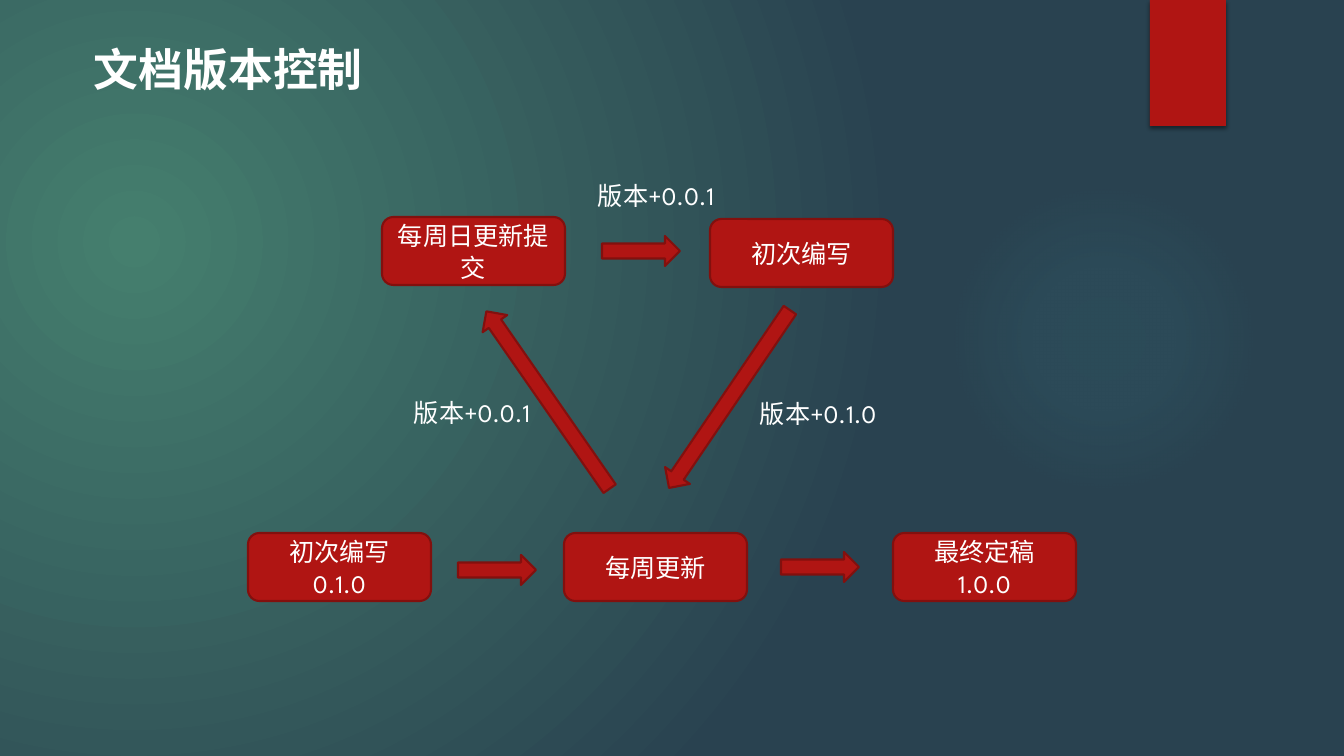
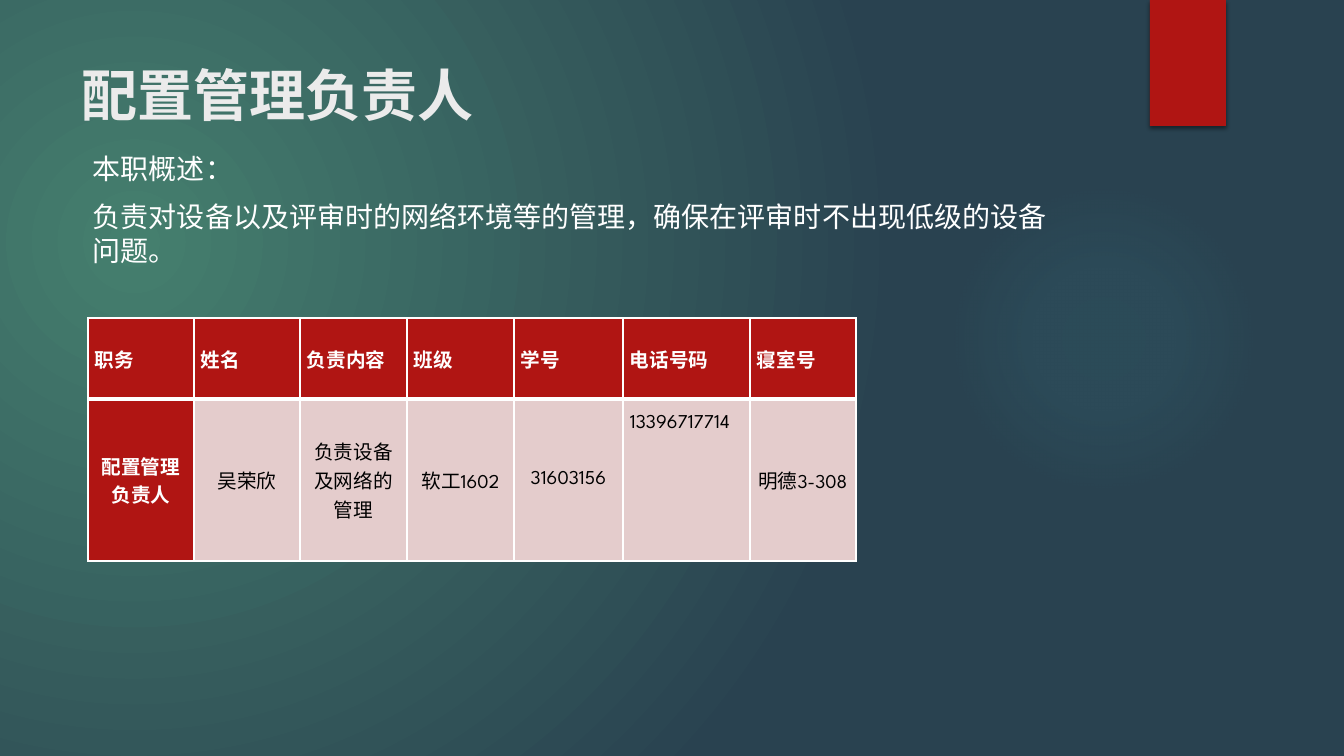
"""Build two slides: a version control flow and a configuration manager profile."""
from pptx import Presentation
from pptx.dml.color import RGBColor
from pptx.enum.shapes import MSO_SHAPE
from pptx.enum.text import MSO_ANCHOR, PP_ALIGN
from pptx.oxml import parse_xml
from pptx.oxml.ns import nsdecls
from pptx.util import Emu, Pt

RECTANGLE, ELLIPSE = MSO_SHAPE.RECTANGLE, MSO_SHAPE.OVAL
ROUNDED, ARROW = MSO_SHAPE.ROUNDED_RECTANGLE, MSO_SHAPE.RIGHT_ARROW
TOP, MIDDLE = MSO_ANCHOR.TOP, MSO_ANCHOR.MIDDLE
LEFT, CENTER, JUSTIFY = PP_ALIGN.LEFT, PP_ALIGN.CENTER, PP_ALIGN.JUSTIFY

COLORS = {
    "red": "B01513", "edge": "82100E", "white": "FFFFFF", "title": "EBEBEB",
    "black": "000000", "pink": "E4CCCC", "green": "457F6E", "navy": "294250",
    "glow": "50B9C1",
}
CJK_FONT = "Noto Sans CJK SC"
SLIDE_WIDTH, SLIDE_HEIGHT = 1344, 756
EMU_PER_PX = 12192000 / SLIDE_WIDTH
STEP_SIZE = (183, 68)
ARROW_SIZE = (78, 30)

LABEL = {
    "font": {"name": "League Spartan", "size": Pt(18), "bold": False},
    "color": "white",
    "paragraph": {"alignment": LEFT, "line_spacing": Pt(22.5)},
}
STEP = {**LABEL, "paragraph": {"alignment": CENTER, "line_spacing": Pt(22.5)}}
FLOW_TITLE = {
    "font": {"name": CJK_FONT, "size": Pt(32), "bold": True},
    "color": "white",
    "paragraph": {"alignment": LEFT, "line_spacing": Pt(41)},
}
ROLE_TITLE = {
    "font": {"name": "Arial", "size": Pt(40), "bold": True},
    "color": "title",
    "paragraph": {"alignment": LEFT, "line_spacing": Pt(52)},
}
SUMMARY = {
    "font": {"name": "Arial", "size": Pt(20), "bold": False},
    "color": "white",
    "paragraph": {"alignment": LEFT, "line_spacing": Pt(24), "space_before": Pt(10)},
}
HEADER_CELL = {
    "font": {"name": "League Spartan", "size": Pt(14), "bold": True},
    "color": "white",
    "paragraph": {"alignment": JUSTIFY},
}
ROLE_CELL = {**HEADER_CELL, "paragraph": {"alignment": CENTER}}
VALUE_CELL = {
    "font": {**HEADER_CELL["font"], "bold": False},
    "color": "black",
    "paragraph": {"alignment": CENTER},
}


def px(length):
    """Turn a length in px into EMU."""
    return Emu(round(length * EMU_PER_PX))


def rgb(name):
    """Look up a palette colour."""
    return RGBColor.from_string(COLORS[name])


def set_all(target, values):
    """Set attributes of an object from a dict."""
    for name, value in values.items():
        setattr(target, name, value)


def write_text(frame, lines, style):
    """Write one styled paragraph for each line."""
    for index, line in enumerate(lines):
        para = frame.paragraphs[0] if index == 0 else frame.add_paragraph()
        set_all(para, style["paragraph"])
        span = para.add_run()
        span.text = line
        set_all(span.font, style["font"])
        span.font.color.rgb = rgb(style["color"])
        properties = span.font._element
        properties.append(
            parse_xml(f'<a:ea {nsdecls("a")} typeface="{CJK_FONT}"/>'))


def paint_radial(fill, parent, stops, focus):
    """Fill a properties element with a circular gradient."""
    fill.gradient()
    marks = "".join(
        f'<a:gs pos="{position * 1000}"><a:srgbClr val="{COLORS[color]}">'
        f'<a:alpha val="{alpha * 1000}"/></a:srgbClr></a:gs>'
        for position, color, alpha in stops)
    edges = " ".join(
        f'{side}="{value * 1000}"' for side, value in zip("ltrb", focus))
    gradient = parse_xml(
        f'<a:gradFill {nsdecls("a")} rotWithShape="1"><a:gsLst>{marks}</a:gsLst>'
        f'<a:path path="circle"><a:fillToRect {edges}/></a:path></a:gradFill>')
    current = parent.xpath("./a:gradFill")[0]
    parent.replace(current, gradient)


def add_shape(page, kind, place, fill="red", line=None, turn=0):
    """Add a flat preset shape."""
    shape = page.shapes.add_shape(kind, *map(px, place))
    shape.shadow.inherit = False
    shape.rotation = turn
    shape.fill.solid()
    shape.fill.fore_color.rgb = rgb(fill)
    if line:
        shape.line.color.rgb = rgb(line)
        shape.line.width = Pt(1.5)
    else:
        shape.line.fill.background()
    return shape


def add_text(page, place, lines, style, wrap=True):
    """Add a text box."""
    box = page.shapes.add_textbox(*map(px, place))
    set_all(box.text_frame, {"word_wrap": wrap, "vertical_anchor": TOP})
    write_text(box.text_frame, lines, style)


def add_step(page, left, top, lines):
    """Add a rounded step of the flow."""
    step = add_shape(page, ROUNDED, (left, top, *STEP_SIZE), line="edge")
    set_all(step.text_frame, {"word_wrap": True, "vertical_anchor": MIDDLE})
    write_text(step.text_frame, lines, STEP)


def add_arrow(page, left, top, length=ARROW_SIZE[0], turn=0):
    """Add a block arrow."""
    add_shape(page, ARROW, (left, top, length, ARROW_SIZE[1]), line="edge", turn=turn)


def add_page(deck):
    """Add a slide with the shared background, glow and ribbon."""
    page = deck.slides.add_slide(deck.slide_layouts[6])
    fill = page.background.fill
    fill.solid()
    paint_radial(fill, page.element.xpath(".//p:bgPr")[0],
                 [(0, "green", 100), (100, "navy", 100)], (45, 65, 125, 100))
    glow = add_shape(page, ELLIPSE, (949, 184, 310, 310))
    paint_radial(glow.fill, glow.element.spPr,
                 [(0, "glow", 7), (36, "glow", 6), (69, "glow", 0)],
                 (50, 50, 50, 50))
    ribbon = add_shape(page, RECTANGLE, (1150, 0, 76, 126))
    effects = ribbon.element.spPr.xpath("./a:effectLst")[0]
    effects.append(parse_xml(
        f'<a:outerShdw {nsdecls("a")} blurRad="{Pt(3)}" dist="{Pt(2)}" dir="5400000">'
        f'<a:srgbClr val="{COLORS["black"]}"><a:alpha val="45000"/></a:srgbClr>'
        '</a:outerShdw>'))
    return page


def add_borders(cell, widths):
    """Draw white borders of the given point widths."""
    properties = cell._tc.get_or_add_tcPr()
    for index, (side, width) in enumerate(widths.items()):
        properties.insert(index, parse_xml(
            f'<a:ln{side} {nsdecls("a")} w="{Pt(width)}"><a:solidFill>'
            f'<a:srgbClr val="{COLORS["white"]}"/></a:solidFill></a:ln{side}>'))


def fill_cell(cell, text, style, fill, widths):
    """Write, colour and frame a table cell."""
    set_all(cell, {
        "margin_left": px(7), "margin_right": px(7), "margin_top": 0,
        "margin_bottom": 0, "vertical_anchor": MIDDLE,
    })
    write_text(cell.text_frame, [text], style)
    cell.fill.solid()
    cell.fill.fore_color.rgb = rgb(fill)
    add_borders(cell, widths)


def add_role_table(page):
    """Add the table of the person in charge."""
    headers = ["职务", "姓名", "负责内容", "班级", "学号", "电话号码", "寝室号"]
    values = ["配置管理负责人", "吴荣欣", "负责设备及网络的管理", "软工1602",
              "31603156", "13396717714", "明德3-308"]
    columns = [106, 106, 107, 107, 109, 127, 106]
    rows = [81, 162]
    place = (88, 318, sum(columns), sum(rows))
    table = page.shapes.add_table(
        len(rows), len(columns), *map(px, place)).table
    for row, height in zip(table.rows, rows):
        row.height = px(height)
    for index, width in enumerate(columns):
        table.columns[index].width = px(width)
        fill_cell(table.cell(0, index), headers[index], HEADER_CELL, "red",
                  {"L": 1, "R": 1, "T": 1, "B": 3})
        style, fill = (VALUE_CELL, "pink") if index else (ROLE_CELL, "red")
        fill_cell(table.cell(1, index), values[index], style, fill,
                  {"L": 1, "R": 1, "T": 3, "B": 1})
    phone = table.cell(1, headers.index("电话号码"))
    set_all(phone, {"vertical_anchor": TOP, "margin_top": px(16)})
    phone.text_frame.paragraphs[0].alignment = JUSTIFY


def build_flow(deck):
    """Build the version control slide."""
    page = add_page(deck)
    add_text(page, (84, 33, 560, 65), ["文档版本控制"], FLOW_TITLE)
    for left, top, lines in [
        (248, 533, ["初次编写", "0.1.0"]),
        (564, 533, ["每周更新"]),
        (893, 533, ["最终定稿", "1.0.0"]),
        (382, 217, ["每周日更新提交"]),
        (710, 219, ["初次编写"]),
    ]:
        add_step(page, left, top, lines)
    for left, top in [(458, 555), (781, 552), (602, 236)]:
        add_arrow(page, left, top)
    add_arrow(page, 440, 385, 216, 235.2)
    add_arrow(page, 622, 384, 215, 124.2)
    for left, top, text in [
        (404, 391, "版本+0.0.1"),
        (588, 174, "版本+0.0.1"),
        (750, 392, "版本+0.1.0"),
    ]:
        add_text(page, (left, top, 143, 72), [text], LABEL, wrap=False)


def build_role(deck):
    """Build the configuration manager slide."""
    page = add_page(deck)
    add_text(page, (72, 50, 1037, 154), ["配置管理负责人"], ROLE_TITLE)
    add_text(page, (83, 147, 986, 243), [
        "本职概述：",
        "负责对设备以及评审时的网络环境等的管理，确保在评审时不出现低级的设备问题。",
    ], SUMMARY)
    add_role_table(page)


def main():
    """Build and save the deck."""
    deck = Presentation()
    deck.slide_width, deck.slide_height = px(SLIDE_WIDTH), px(SLIDE_HEIGHT)
    build_flow(deck)
    build_role(deck)
    deck.save("out.pptx")


if __name__ == "__main__":
    main()
